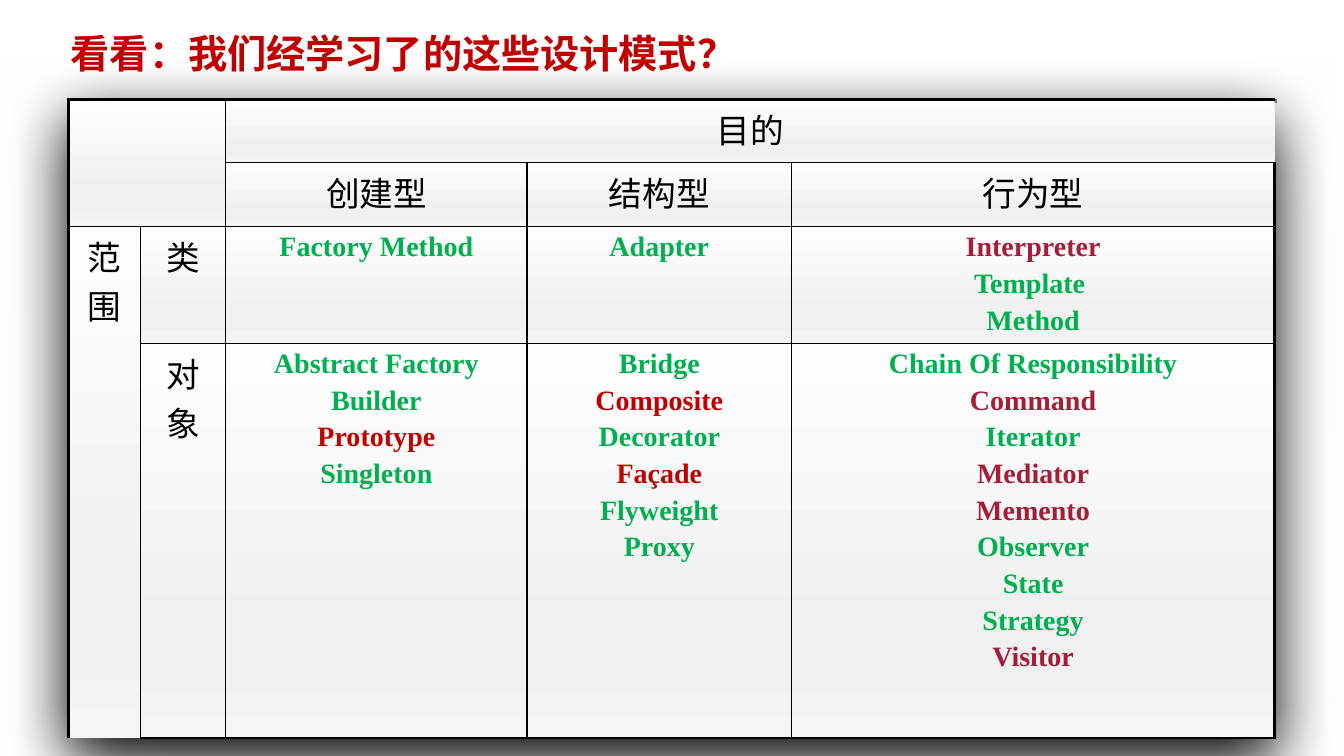
"""Build a slide with a table of design patterns grouped by purpose and scope."""
from dataclasses import dataclass

from lxml import etree
from pptx import Presentation
from pptx.dml.color import RGBColor
from pptx.enum.shapes import MSO_CONNECTOR
from pptx.enum.text import PP_ALIGN
from pptx.oxml.ns import qn
from pptx.util import Emu, Pt

STRAIGHT = MSO_CONNECTOR.STRAIGHT
CENTER = PP_ALIGN.CENTER
PX = 9525
CHINESE_FONT = "Noto Sans CJK SC"
LATIN_FONT = "Times New Roman"
NO_STYLE = "{2D5ABB26-0587-4C30-8999-92F81FD0307C}"
COLORS = {
    "black": "000000", "gray": "808080", "green": "00B050",
    "red": "C00000", "crimson": "A61D38",
}
CELL_GRADIENT = ((0, "FDFDFD"), (74, "F0F0F0"), (83, "F0F0F0"), (100, "F5F5F5"))
COLUMN_WIDTHS = (69, 81, 287, 252, 460)
ROW_HEIGHTS = (60, 61, 111, 376)


@dataclass(frozen=True)
class Entry:
    text: str
    color: str = "green"


@dataclass(frozen=True)
class Region:
    row: int
    column: int
    entries: tuple[Entry, ...] = ()
    row_span: int = 1
    column_span: int = 1
    is_heading: bool = False


def heading(row: int, column: int, text: str, row_span: int = 1, column_span: int = 1) -> Region:
    return Region(row, column, (Entry(text, "black"),), row_span, column_span, True)


REGIONS = (
    Region(0, 0, row_span=2, column_span=2),
    heading(0, 2, "目的", column_span=3),
    heading(1, 2, "创建型"),
    heading(1, 3, "结构型"),
    heading(1, 4, "行为型"),
    heading(2, 0, "范围", row_span=2),
    heading(2, 1, "类"),
    heading(3, 1, "对象"),
    Region(2, 2, (Entry("Factory Method"),)),
    Region(2, 3, (Entry("Adapter"),)),
    Region(2, 4, (Entry("Interpreter", "crimson"), Entry("Template "), Entry("Method"))),
    Region(3, 2, (Entry("Abstract Factory"), Entry("Builder"),
                  Entry("Prototype", "red"), Entry("Singleton"))),
    Region(3, 3, (Entry("Bridge"), Entry("Composite", "red"), Entry("Decorator"),
                  Entry("Façade", "red"), Entry("Flyweight"), Entry("Proxy"))),
    Region(3, 4, (Entry("Chain Of Responsibility"), Entry("Command", "crimson"),
                  Entry("Iterator"), Entry("Mediator", "crimson"),
                  Entry("Memento", "crimson"), Entry("Observer"), Entry("State"),
                  Entry("Strategy"), Entry("Visitor", "crimson"))),
)


def px(value: int) -> Emu:
    return Emu(value * PX)


def add_child(parent, tag: str, **attributes):
    return etree.SubElement(parent, qn(tag), {name: str(value) for name, value in attributes.items()})


def add_run(paragraph, text: str, size: int, font: str, color: str, bold: bool) -> None:
    run = paragraph.add_run()
    run.text = text
    run.font.size = Pt(size)
    run.font.bold = bold
    run.font.color.rgb = RGBColor.from_string(COLORS[color])
    run.font.name = font
    add_child(run.font._element, "a:ea", typeface=font)


def add_border(properties, tag: str, points: float) -> None:
    border = add_child(properties, tag, w=Pt(points))
    add_child(add_child(border, "a:solidFill"), "a:srgbClr", val=COLORS["black"])


def fill_gradient(properties) -> None:
    gradient = add_child(properties, "a:gradFill", rotWithShape=1)
    stops = add_child(gradient, "a:gsLst")
    for position, color in CELL_GRADIENT:
        add_child(add_child(stops, "a:gs", pos=position * 1000), "a:srgbClr", val=color)
    add_child(gradient, "a:lin", ang=90 * 60000, scaled=0)


def format_cells(table, region: Region) -> None:
    last_row = region.row + region.row_span - 1
    last_column = region.column + region.column_span - 1
    for row in range(region.row, last_row + 1):
        for column in range(region.column, last_column + 1):
            properties = table.cell(row, column)._tc.get_or_add_tcPr()
            edges = (
                ("a:lnL", column == region.column, column == 0),
                ("a:lnR", column == last_column, column == len(COLUMN_WIDTHS) - 1),
                ("a:lnT", row == region.row, row == 0),
                ("a:lnB", row == last_row, row == len(ROW_HEIGHTS) - 1),
            )
            for tag, on_edge, is_outer in edges:
                if on_edge:
                    add_border(properties, tag, 2.25 if is_outer else 1)
            fill_gradient(properties)


def add_region(table, region: Region) -> None:
    cell = table.cell(region.row, region.column)
    if region.row_span * region.column_span > 1:
        cell.merge(table.cell(region.row + region.row_span - 1,
                              region.column + region.column_span - 1))
    format_cells(table, region)
    size, font = (24, CHINESE_FONT) if region.is_heading else (20, LATIN_FONT)
    for index, entry in enumerate(region.entries):
        frame = cell.text_frame
        paragraph = frame.add_paragraph() if index else frame.paragraphs[0]
        paragraph.alignment = CENTER
        spacing = add_child(paragraph._p.get_or_add_pPr(), "a:spcBef")
        add_child(spacing, "a:spcPct", val=20000)
        add_run(paragraph, entry.text, size, font, entry.color, not region.is_heading)


def add_table_shadow(properties) -> None:
    effects = etree.Element(qn("a:effectLst"))
    shadow = add_child(effects, "a:outerShdw", blurRad=px(60), dist=px(20),
                       dir=90 * 60000, algn="ctr", rotWithShape=0)
    add_child(shadow, "a:srgbClr", val=COLORS["black"])
    properties.insert(0, effects)


def add_pattern_table(slide) -> None:
    frame = slide.shapes.add_table(len(ROW_HEIGHTS), len(COLUMN_WIDTHS), px(65), px(95),
                                   px(sum(COLUMN_WIDTHS)), px(sum(ROW_HEIGHTS)))
    table = frame.table
    table.first_row = table.horz_banding = False
    properties = table._tbl.tblPr
    properties.find(qn("a:tableStyleId")).text = NO_STYLE
    add_table_shadow(properties)
    for column, width in zip(table.columns, COLUMN_WIDTHS):
        column.width = px(width)
    for row, height in zip(table.rows, ROW_HEIGHTS):
        row.height = px(height)
    for region in REGIONS:
        add_region(table, region)


def add_title_rule(slide) -> None:
    rule = slide.shapes.add_connector(STRAIGHT, px(64), px(96), px(1216), px(96))
    rule.line.color.rgb = RGBColor.from_string(COLORS["gray"])
    rule.line.width = Pt(3)
    add_child(rule._element.spPr, "a:effectLst")


def add_title(slide) -> None:
    frame = slide.shapes.add_textbox(px(20), px(23), px(809), px(72)).text_frame
    frame.word_wrap = True
    paragraph = frame.paragraphs[0]
    paragraph._p.get_or_add_pPr().set("indent", str(px(38)))
    add_run(paragraph, "看看：我们经学习了的这些设计模式？", 28, CHINESE_FONT, "red", True)


def main() -> None:
    presentation = Presentation()
    presentation.slide_width, presentation.slide_height = px(1280), px(720)
    slide = presentation.slides.add_slide(presentation.slide_layouts[6])
    add_title_rule(slide)
    add_pattern_table(slide)
    add_title(slide)
    presentation.save("out.pptx")


if __name__ == "__main__":
    main()
